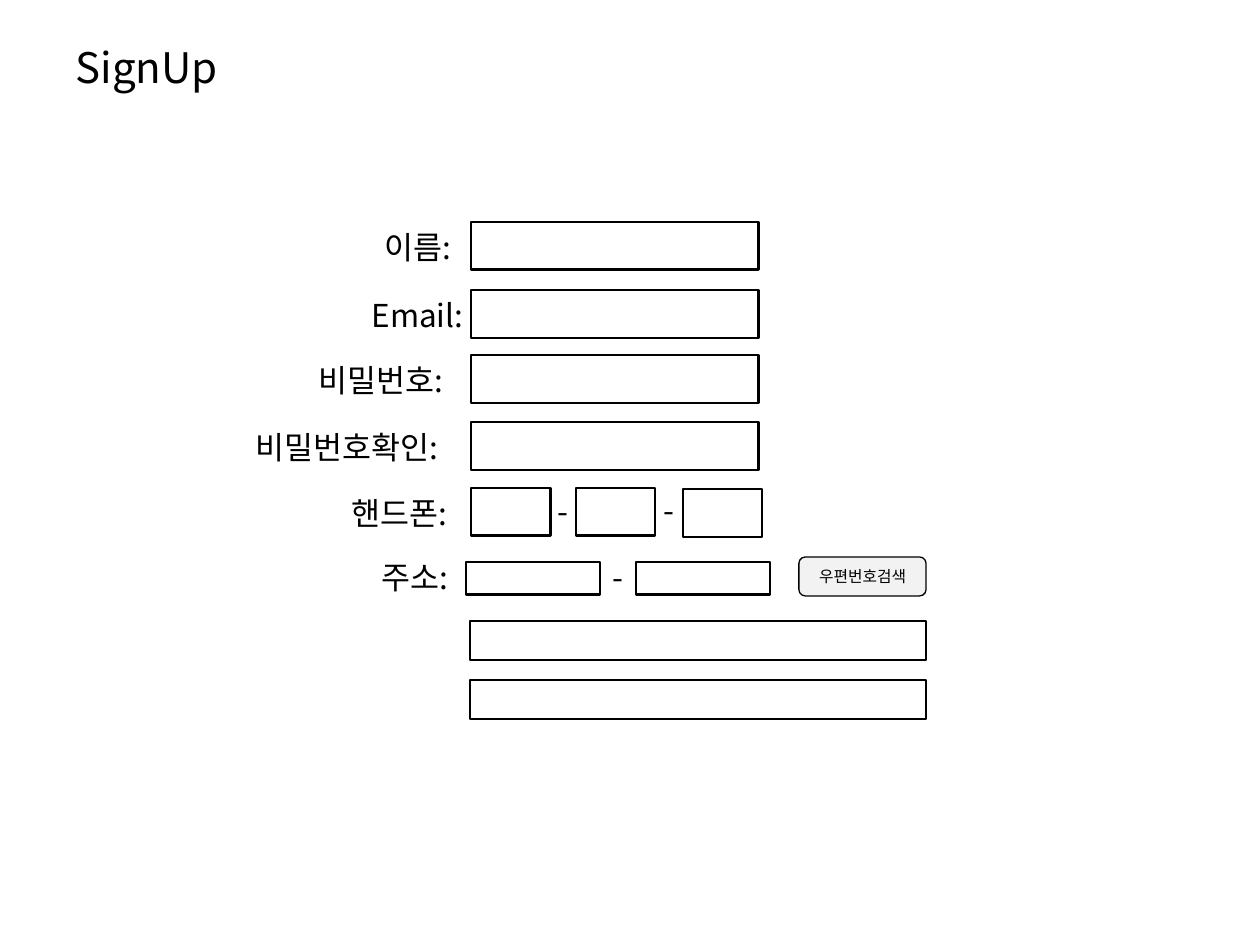
import pptx
import pptx.dml.color
import pptx.enum.shapes
import pptx.enum.text
import pptx.oxml.ns
import pptx.util
from lxml import etree

# Content: label, label left, label width (inches)
TITLE = "SignUp"
LABELS = [
    ("이름:", 2.95, 0.85),
    ("Email:", 2.85, 0.95),
    ("비밀번호:", 2.43, 1.36),
    ("비밀번호확인:", 1.93, 1.86),
    ("핸드폰:", 2.69, 1.10),
    ("주소:", 2.93, 0.76),
]
BUTTON = "우편번호검색"
SEPARATOR = "-"

THEME = {
    "font": "Noto Sans CJK KR",
    "ink": "000000",
    "button": "F2F2F2",
    "title_size": 24,
    "label_size": 18,
    "button_size": 9,
    "field_line": 1.25,
    "button_line": 0.75,
}

# Form grid in inches
ROW_TOPS = [1.76, 2.30, 2.82, 3.35, 3.87, 4.38]
FIELD_LEFT, FIELD_WIDTH, FIELD_HEIGHT = 3.74, 2.28, 0.38
PHONE_WIDTH = 0.63
PHONE_CELLS = [(3.74, 3.87), (4.57, 3.87), (5.42, 3.88)]
POSTCODE_LEFTS, POSTCODE_WIDTH, POSTCODE_HEIGHT = [3.70, 5.05], 1.06, 0.26
POSTCODE_TOP = ROW_TOPS[5] + 0.08
ADDRESS_LEFT, ADDRESS_TOP, ADDRESS_STEP = 3.73, 4.93, 0.47
ADDRESS_WIDTH, ADDRESS_HEIGHT = 3.62, 0.31
BUTTON_WIDTH = 1.01
LABEL_HEIGHT, SEPARATOR_WIDTH = 0.40, 0.31
SEPARATORS = [(4.33, 3.86), (5.17, 3.85), (4.76, 4.38)]


def color(name):
    return pptx.dml.color.RGBColor.from_string(THEME[name])


def box(*lengths):
    return [pptx.util.Inches(length) for length in lengths]


def write(shape, text, size):
    run = shape.text_frame.paragraphs[0].add_run()
    run.text = text
    run.font.size = pptx.util.Pt(THEME[size])
    run.font.name = THEME["font"]
    run.font.color.rgb = color("ink")
    # Korean letters take the East Asian typeface
    east_asian = etree.SubElement(run.font._element, pptx.oxml.ns.qn("a:ea"))
    east_asian.set("typeface", THEME["font"])


def add_label(slide, text, left, top, width):
    label = slide.shapes.add_textbox(*box(left, top, width, LABEL_HEIGHT))
    label.text_frame.word_wrap = False
    label.text_frame.auto_size = pptx.enum.text.MSO_AUTO_SIZE.SHAPE_TO_FIT_TEXT
    write(label, text, "label_size")


def add_box(slide, left, top, width, height, kind="RECTANGLE", line="field_line"):
    preset = pptx.enum.shapes.MSO_SHAPE[kind]
    shape = slide.shapes.add_shape(preset, *box(left, top, width, height))
    shape.shadow.inherit = False
    shape.fill.background()
    shape.line.color.rgb = color("ink")
    shape.line.width = pptx.util.Pt(THEME[line])
    return shape


def main():
    presentation = pptx.Presentation()
    presentation.slide_width, presentation.slide_height = box(10, 7.5)
    slide = presentation.slides.add_slide(presentation.slide_layouts[5])

    # Title
    title = slide.shapes.title
    title.left, title.top, title.width, title.height = box(0.5, 0.3, 9, 0.46)
    title.text_frame.vertical_anchor = pptx.enum.text.MSO_ANCHOR.MIDDLE
    title.text_frame.paragraphs[0].alignment = pptx.enum.text.PP_ALIGN.LEFT
    write(title, TITLE, "title_size")

    # Labels and separators
    for (text, left, width), top in zip(LABELS, ROW_TOPS):
        add_label(slide, text, left, top, width)
    for left, top in SEPARATORS:
        add_label(slide, SEPARATOR, left, top, SEPARATOR_WIDTH)

    # Input fields
    for top in ROW_TOPS[:4]:
        add_box(slide, FIELD_LEFT, top, FIELD_WIDTH, FIELD_HEIGHT)
    for left, top in PHONE_CELLS:
        add_box(slide, left, top, PHONE_WIDTH, FIELD_HEIGHT)
    for left in POSTCODE_LEFTS:
        add_box(slide, left, POSTCODE_TOP, POSTCODE_WIDTH, POSTCODE_HEIGHT)
    for line in range(2):
        top = ADDRESS_TOP + line * ADDRESS_STEP
        add_box(slide, ADDRESS_LEFT, top, ADDRESS_WIDTH, ADDRESS_HEIGHT)

    # Postcode search button, flush with the right edge of the address fields
    button_left = ADDRESS_LEFT + ADDRESS_WIDTH - BUTTON_WIDTH
    button = add_box(slide, button_left, 4.42, BUTTON_WIDTH, ADDRESS_HEIGHT,
                     "ROUNDED_RECTANGLE", "button_line")
    button.fill.solid()
    button.fill.fore_color.rgb = color("button")
    button.text_frame.word_wrap = True
    button.text_frame.vertical_anchor = pptx.enum.text.MSO_ANCHOR.MIDDLE
    button.text_frame.paragraphs[0].alignment = pptx.enum.text.PP_ALIGN.CENTER
    write(button, BUTTON, "button_size")

    presentation.save("out.pptx")


if __name__ == "__main__":
    main()
